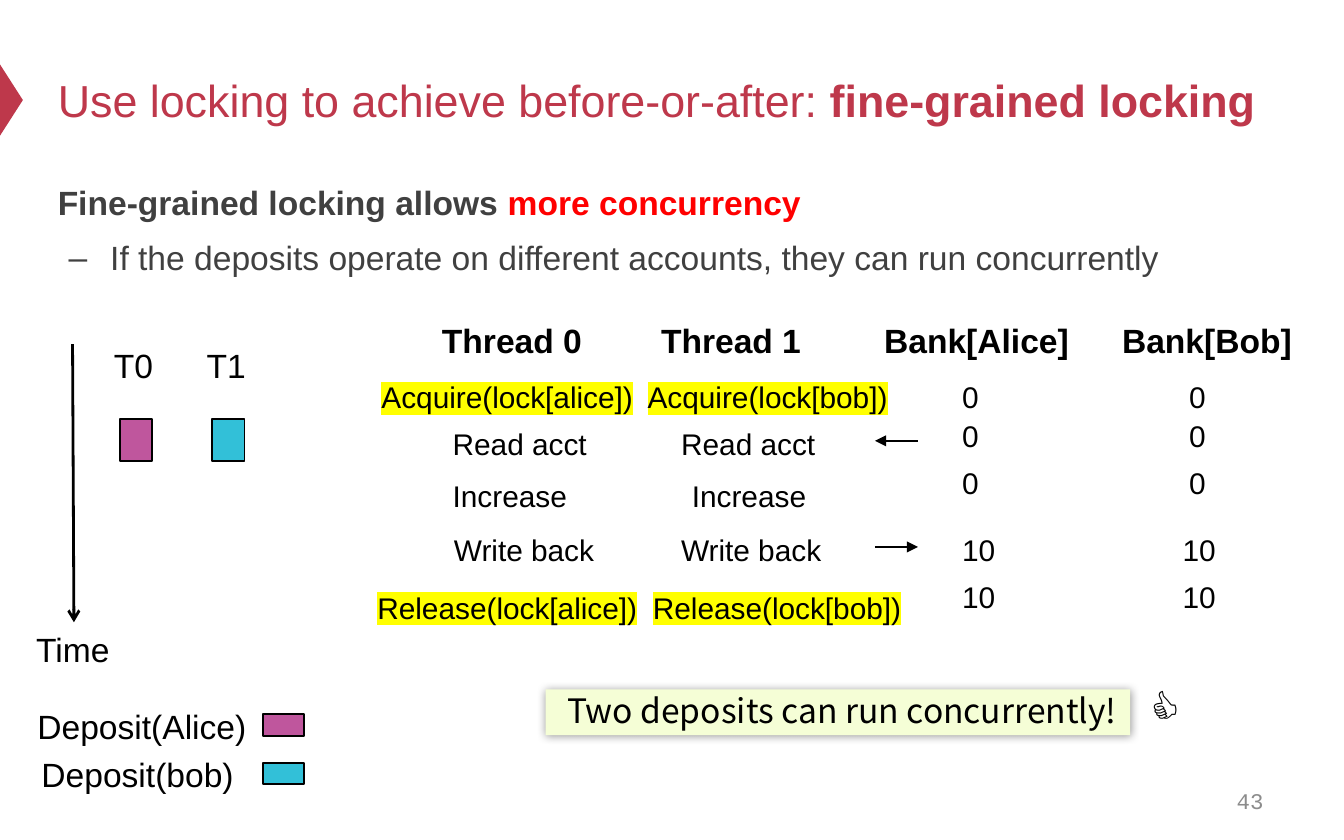
from lxml import etree
from pptx import Presentation, util as u
from pptx.dml.color import RGBColor
from pptx.enum import shapes, text
from pptx.oxml import ns

# The slide is a grid of 100 columns by 62.5 rows of 0.1 inch.
CELL = u.Inches(0.1)
BLACK, RED, GRAY, YELLOW = "000000", "BE384B", "404040", "FFFF00"
ALICE, BOB = "BF569D", "32C0D8"


def grid(*lengths):
    return [round(length * CELL) for length in lengths]


def color(hex_text):
    return RGBColor.from_string(hex_text)


def add_xml(parent, tag, **attributes):
    child = etree.SubElement(parent, ns.qn(tag))
    for key, value in attributes.items():
        child.set(key, str(value))
    return child


def write(paragraph, words, size=18, ink=BLACK, font="Arial", bold=False, highlight=None):
    run = paragraph.add_run()
    run.text = words
    run.font.size, run.font.name, run.font.bold = u.Pt(size), font, bold
    run.font.color.rgb = color(ink)
    if highlight:
        mark = etree.Element(ns.qn("a:highlight"))
        add_xml(mark, "a:srgbClr", val=highlight)
        run.font.fill  # the highlight belongs right after the text fill
        run.font._rPr.find(ns.qn("a:solidFill")).addnext(mark)


def label(slide, box, words, wrap=False, align=None, anchor=None, **style):
    frame = slide.shapes.add_textbox(*grid(*box)).text_frame
    frame.word_wrap = wrap
    frame.auto_size = text.MSO_AUTO_SIZE.SHAPE_TO_FIT_TEXT
    if anchor:
        frame.auto_size = text.MSO_AUTO_SIZE.NONE
        frame.vertical_anchor = anchor
    frame.paragraphs[0].alignment = align
    write(frame.paragraphs[0], words, **style)


def block(slide, box, fill, outline=None, kind=shapes.MSO_SHAPE.RECTANGLE):
    shape = slide.shapes.add_shape(kind, *grid(*box))
    shape.shadow.inherit = False
    shape.fill.solid()
    shape.fill.fore_color.rgb = color(fill)
    if outline:
        shape.line.color.rgb = color(outline)
        shape.line.width = u.Pt(1)
    else:
        shape.line.fill.background()
    return shape


def arrow(slide, start, end, width, head):
    line = slide.shapes.add_connector(shapes.MSO_CONNECTOR.STRAIGHT, *grid(*start, *end))
    line.line.color.rgb = color(BLACK)
    line.line.width = u.Pt(width)
    add_xml(line.line._get_or_add_ln(), "a:tailEnd", type=head)
    add_xml(line._element.spPr, "a:effectLst")


def indent(paragraph, margin, first, bullet=None):
    properties = paragraph._p.get_or_add_pPr()
    properties.set("marL", str(u.Inches(margin)))
    properties.set("indent", str(u.Inches(first)))
    if bullet:
        add_xml(properties, "a:buFont", typeface="Arial")
        add_xml(properties, "a:buChar", char=bullet)
    else:
        add_xml(properties, "a:buNone")


def place(placeholder, box, anchor):
    placeholder.left, placeholder.top, placeholder.width, placeholder.height = grid(*box)
    frame = placeholder.text_frame
    frame.auto_size = text.MSO_AUTO_SIZE.NONE
    frame.vertical_anchor = anchor
    return frame


def heading(slide, box):
    marker = block(slide, (-1.8, 6.6, 5.3, 1.7), RED, kind=shapes.MSO_SHAPE.ISOSCELES_TRIANGLE)
    marker.rotation = 90
    title = place(slide.shapes.title, box, text.MSO_ANCHOR.MIDDLE).paragraphs[0]
    title.alignment = text.PP_ALIGN.LEFT
    write(title, "Use locking to achieve before-or-after: ", size=24, ink=RED)
    write(title, "fine-grained locking", size=24, ink=RED, bold=True)


def claim(slide, box):
    frame = place(slide.placeholders[1], box, text.MSO_ANCHOR.TOP)
    main, detail = frame.paragraphs[0], frame.add_paragraph()
    indent(main, 0, 0)
    detail.level = 1
    indent(detail, 0.39, -0.31, "–")
    for paragraph, before in ((main, 0), (detail, 4)):
        paragraph.line_spacing, paragraph.space_before = 1.2, u.Pt(before)
    write(main, "Fine-grained locking allows ", ink=GRAY, bold=True)
    write(main, "more concurrency", ink="FF0000", bold=True)
    write(detail, "If the deposits operate on different accounts, they can run concurrently", ink=GRAY)


def timeline(slide, box):
    left, top, width, height = box
    for name, column, fill in (("T0", 5.8, ALICE), ("T1", 12.7, BOB)):
        label(slide, (left + column, top, 5, 4), name)
        block(slide, (left + column + 1.4, top + 6, 2.4, 3.1), fill, BLACK)
    arrow(slide, (left + 3.7, top + 0.4), (left + 3.8, top + height), 1.5, "arrow")
    label(slide, (left, top + height, 7.5, 4), "Time")


def legend(slide, box):
    left, top, width, height = box
    entries = (("Deposit(Alice)", 0, 17.7, ALICE), ("Deposit(bob)", 0.3, 16.5, BOB))
    for row, (name, column, name_width, fill) in enumerate(entries):
        y = top + row * height / 2
        label(slide, (left + column, y, name_width, 4), name)
        block(slide, (left + width - 3, y + 1.15, 3, 1.6), fill, BLACK)


def schedule(slide, box):
    """Thread steps on the left, account balances after each step on the right."""
    left, top, width, height = box
    for name, column, name_width in (("Thread 0", 4.8, 12.5), ("Thread 1", 21.1, 12.5),
                                     ("Bank[Alice]", 37.7, 15.9), ("Bank[Bob]", 55.4, 14.8)):
        label(slide, (left + column, top, name_width, 4), name, bold=True)

    # For each step: row, then wording, column and width for each thread.
    steps = (
        (4.4, ("Acquire(lock[alice])", 0.3, 21), ("Acquire(lock[bob])", 20.1, 20.1)),
        (7.9, ("Read acct", 5.6, 12.1), ("Read acct", 22.6, 12.1)),
        (11.75, ("Increase", 5.6, 10.6), ("Increase", 23.4, 10.6)),
        (15.8, ("Write back", 5.7, 12.6), ("Write back", 22.6, 12.6)),
        (20.05, ("Release(lock[alice])", 0, 21.6), ("Release(lock[bob])", 20.5, 20.7)),
    )
    for row, *actions in steps:
        for action, column, action_width in actions:
            label(slide, (left + column, top + row, action_width, 3.7), action, size=16,
                  highlight=YELLOW if "lock" in action else None)

    balances = ((4.4, "0"), (7.3, "0"), (10.8, "0"), (15.8, "10"), (19.3, "10"))
    for row, amount in balances:
        amount_width = 2.4 if amount == "0" else 4.9
        for column in (43.5, 60.4 if amount == "0" else 59.9):
            label(slide, (left + column, top + row, amount_width, 3.7), amount, size=16, wrap=True)

    near, far = left + 38, left + 41.2
    for row, start, end in ((9.5, far, near), (17.4, near, far)):
        arrow(slide, (start, top + row), (end, top + row), 1.2, "triangle")


def conclusion(slide, box):
    left, top, width, height = box
    banner = block(slide, box, "F5FED6")
    glow = add_xml(banner._element.spPr.find(ns.qn("a:effectLst")), "a:outerShdw",
                   blurRad=u.Pt(5), dist=0, dir=0, algn="ctr", rotWithShape=0)
    add_xml(add_xml(glow, "a:srgbClr", val=BLACK), "a:alpha", val=40000)
    frame = banner.text_frame
    frame.word_wrap = True
    frame.auto_size = text.MSO_AUTO_SIZE.SHAPE_TO_FIT_TEXT
    frame.vertical_anchor = text.MSO_ANCHOR.TOP
    frame.margin_left = frame.margin_right = u.Inches(0.08)
    frame.margin_top, frame.margin_bottom = 0, u.Inches(0.04)
    sentence = frame.paragraphs[0]
    sentence.alignment = text.PP_ALIGN.CENTER
    indent(sentence, 0.48, -0.42)
    write(sentence, "Two deposits can run concurrently!", font="Noto Sans CJK SC")
    label(slide, (left + width + 0.5, top - 1.2, 4.9, 5), "👍", size=24, wrap=True)


def main():
    prs = Presentation()
    prs.slide_width, prs.slide_height = grid(100, 62.5)
    slide = prs.slides.add_slide(prs.slide_layouts[1])
    heading(slide, (3.3, 2.5, 96.7, 9.8))
    claim(slide, (3.3, 12.4, 90, 8.9))
    timeline(slide, (1.7, 25.2, 18, 21.1))
    legend(slide, (1.8, 52, 20.8, 7.2))
    schedule(slide, (27.1, 23.3, 70.2, 23.8))
    conclusion(slide, (40.6, 51.3, 43.5, 3.4))
    label(slide, (71.7, 57.9, 23.3, 3.3), "43", wrap=True, align=text.PP_ALIGN.RIGHT,
          anchor=text.MSO_ANCHOR.MIDDLE, size=12, font="Courier New", ink="8C8C8C")
    prs.save("out.pptx")


if __name__ == "__main__":
    main()
